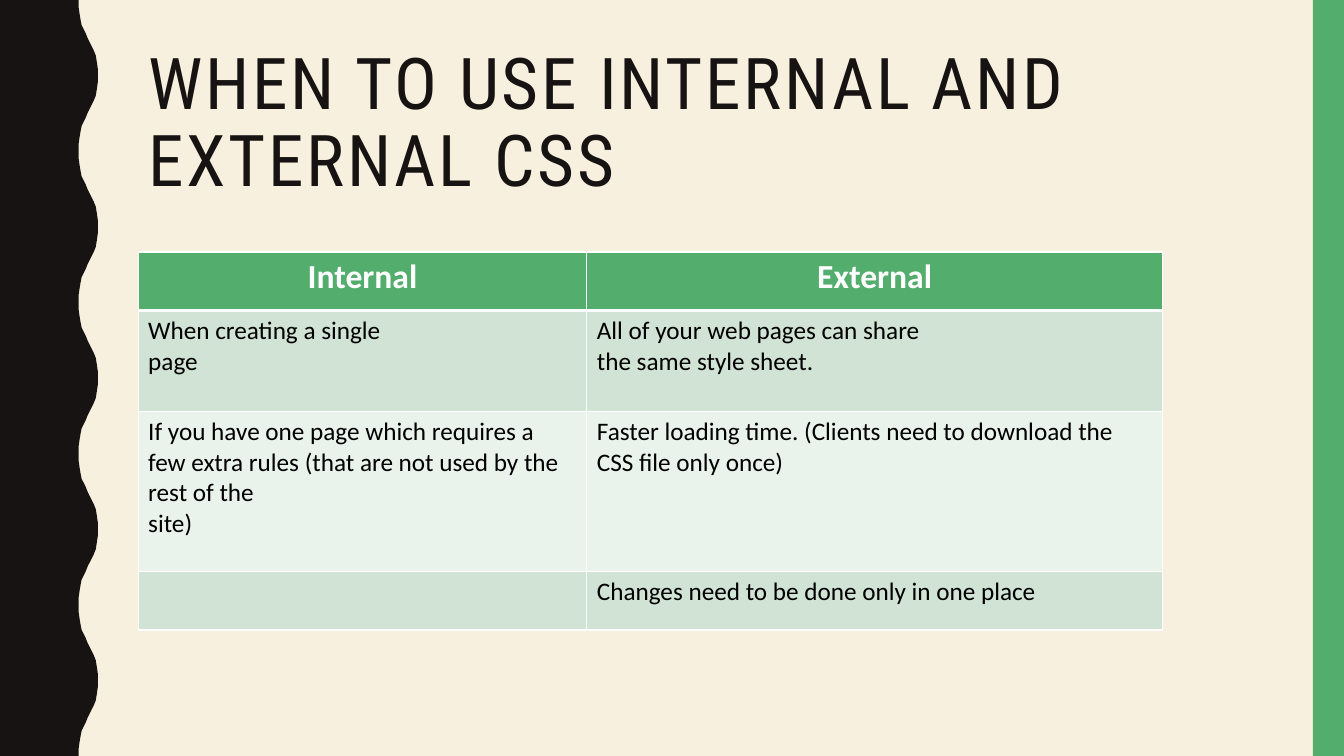
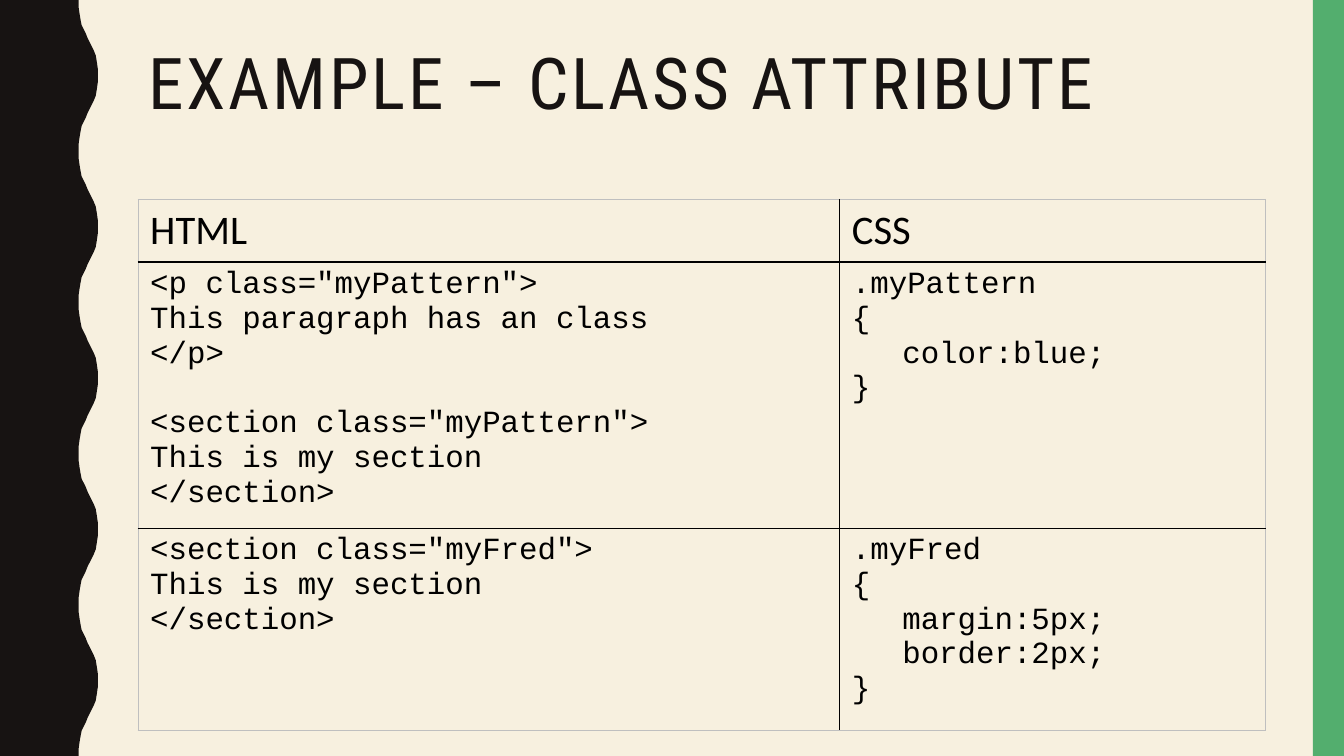
"""Build two slides on using CSS: a comparison table and a class attribute example."""
from lxml.etree import SubElement
from pptx import Presentation
from pptx.dml.color import RGBColor
from pptx.enum.shapes import MSO_SHAPE
from pptx.enum.text import MSO_ANCHOR, MSO_AUTO_SIZE, PP_ALIGN
from pptx.oxml.ns import qn
from pptx.util import Inches, Pt

INK = RGBColor(0x17, 0x13, 0x12)
CREAM = RGBColor(0xF7, 0xF0, 0xDF)
GREEN = RGBColor(0x53, 0xAE, 0x6E)
BAND_DARK = RGBColor(0xD1, 0xE3, 0xD5)
BAND_LIGHT = RGBColor(0xE9, 0xF2, 0xEB)
WHITE = RGBColor(0xFF, 0xFF, 0xFF)
BLACK = RGBColor(0x00, 0x00, 0x00)
GREY = RGBColor(0xBF, 0xBF, 0xBF)

TITLE_FONT, BODY_FONT, CODE_FONT = "Roboto Condensed", "Calibri", "Courier New"
TITLES = ["WHEN TO USE INTERNAL AND EXTERNAL CSS", "EXAMPLE – CLASS ATTRIBUTE"]
USES = [
    ["Internal", "External"],
    ["When creating a single\npage",
     "All of your web pages can share\nthe same style sheet."],
    ["If you have one page which requires a few extra rules "
     "(that are not used by the rest of the\nsite)",
     "Faster loading time. (Clients need to download the CSS file only once)"],
    ["", "Changes need to be done only in one place"],
]
CODE = [
    ["HTML", "CSS"],
    ['<p class="myPattern">\nThis paragraph has an class\n</p>\n'
     '<section class="myPattern">\nThis is my section\n</section>',
     ".myPattern\n{\ncolor:blue;\n}"],
    ['<section class="myFred">\nThis is my section\n</section>',
     ".myFred\n{\nmargin:5px;\nborder:2px;\n}"],
]
HALF_WAVE = [(78, 0), (78, 7), (79, 14), (80, 20), (81, 25), (83, 29), (85, 33),
             (87, 38), (89, 42), (91, 46), (93, 50), (95, 55), (96, 61), (97, 68), (97, 75)]
WAVE_PERIOD, WAVE_COUNT = 150, 5


def add_grid(slide, top, cols, rows, texts):
    """Add a table with its column widths, row heights and texts."""
    table = slide.shapes.add_table(len(rows), len(cols), Inches(1.37), Inches(top),
                                   Inches(sum(cols)), Inches(sum(rows))).table
    for column, width in zip(table.columns, cols):
        column.width = Inches(width)
    for row, height, row_texts in zip(table.rows, rows, texts):
        row.height = Inches(height)
        for cell, text in zip(row.cells, row_texts):
            cell.text = text
    return table


def style_cell(cell, borders, font, size, color, bold=False):
    """Draw left, right, top and bottom borders and format the text."""
    tcPr = cell._tc.get_or_add_tcPr()
    for side, (line_color, width) in zip("LRTB", borders):
        ln = SubElement(tcPr, qn(f"a:ln{side}"), w=str(Pt(width)))
        fill = SubElement(ln, qn("a:solidFill"))
        SubElement(fill, qn("a:srgbClr"), val=str(line_color))
    for p in cell.text_frame.paragraphs:
        p.font.size = Pt(size)
        for r in p.runs:
            r.font.name = font
            r.font.size = Pt(size)
            r.font.bold = bold
            r.font.color.rgb = color


prs = Presentation()
prs.slide_width, prs.slide_height = Inches(13.33), Inches(7.5)
layout = prs.slide_layouts[5]
layout.background.fill.solid()
layout.background.fill.fore_color.rgb = CREAM
slides = [prs.slides.add_slide(layout) for _ in TITLES]

edge = []
for i in range(WAVE_COUNT):
    start = i * WAVE_PERIOD
    edge += [(x, start + y) for x, y in HALF_WAVE]
    edge += [(x, start + WAVE_PERIOD - y) for x, y in reversed(HALF_WAVE)]
builder = slides[0].shapes.build_freeform(0, 0, scale=Inches(0.01))
builder.add_line_segments(edge + [(0, WAVE_COUNT * WAVE_PERIOD)], close=True)
wave = builder.convert_to_shape()
band = slides[0].shapes.add_shape(MSO_SHAPE.RECTANGLE, Inches(13.02), 0,
                                  Inches(0.31), prs.slide_height)
for i, (sp, color) in enumerate([(wave, INK), (band, GREEN)]):
    sp.shadow.inherit = False
    sp.fill.solid()
    sp.fill.fore_color.rgb = color
    sp.line.fill.background()
    layout.shapes.element.insert(2 + i, sp.element)

for s, text in zip(slides, TITLES):
    title = s.shapes.title
    title.left, title.top = Inches(1.37), Inches(0.42)
    title.width, title.height = Inches(11.13), Inches(1.63)
    tf = title.text_frame
    tf.text = text
    tf.word_wrap = True
    tf.auto_size = MSO_AUTO_SIZE.NONE
    tf.vertical_anchor = MSO_ANCHOR.TOP
    p = tf.paragraphs[0]
    p.alignment = PP_ALIGN.LEFT
    p.line_spacing = 0.9
    r = p.runs[0]
    r.font.name = TITLE_FONT
    r.font.size = Pt(51)
    r.font.color.rgb = INK
    r.font._element.set("spc", "200")

uses = add_grid(slides[0], 2.5, [4.45, 5.71], [0.58, 1, 1.59, 0.58], USES)
thin, thick = (WHITE, 1), (WHITE, 3)
for i, row in enumerate(uses.rows):
    for cell in row.cells:
        if i == 0:
            style_cell(cell, [thin, thin, thin, thick], BODY_FONT, 24, WHITE, bold=True)
            cell.text_frame.paragraphs[0].alignment = PP_ALIGN.CENTER
        else:
            style_cell(cell, [thin, thin, thick if i == 1 else thin, thin],
                       BODY_FONT, 18, BLACK)
        cell.fill.solid()
        cell.fill.fore_color.rgb = GREEN if i == 0 else BAND_DARK if i % 2 else BAND_LIGHT

code = add_grid(slides[1], 1.98, [6.96, 4.22], [0.62, 2.64, 2.01], CODE)
inner, outer = (BLACK, 1), (GREY, 1)
for i, row in enumerate(code.rows):
    for j, cell in enumerate(row.cells):
        borders = [inner if j else outer, outer if j else inner,
                   inner if i else outer, outer if i == len(CODE) - 1 else inner]
        font, size = (CODE_FONT, 22) if i else (BODY_FONT, 29)
        style_cell(cell, borders, font, size, BLACK)
        cell.fill.background()
        cell.margin_left = cell.margin_right = Inches(0.12)
        cell.margin_top = cell.margin_bottom = Inches(0.06)
        for k, p in enumerate(cell.text_frame.paragraphs):
            if k and p.text.startswith("<section"):
                p.space_before = Pt(25)
            if p.text.endswith(";"):
                p.level = 1
                p._p.get_or_add_pPr().set("marL", str(Inches(0.5)))

prs.save("out.pptx")
